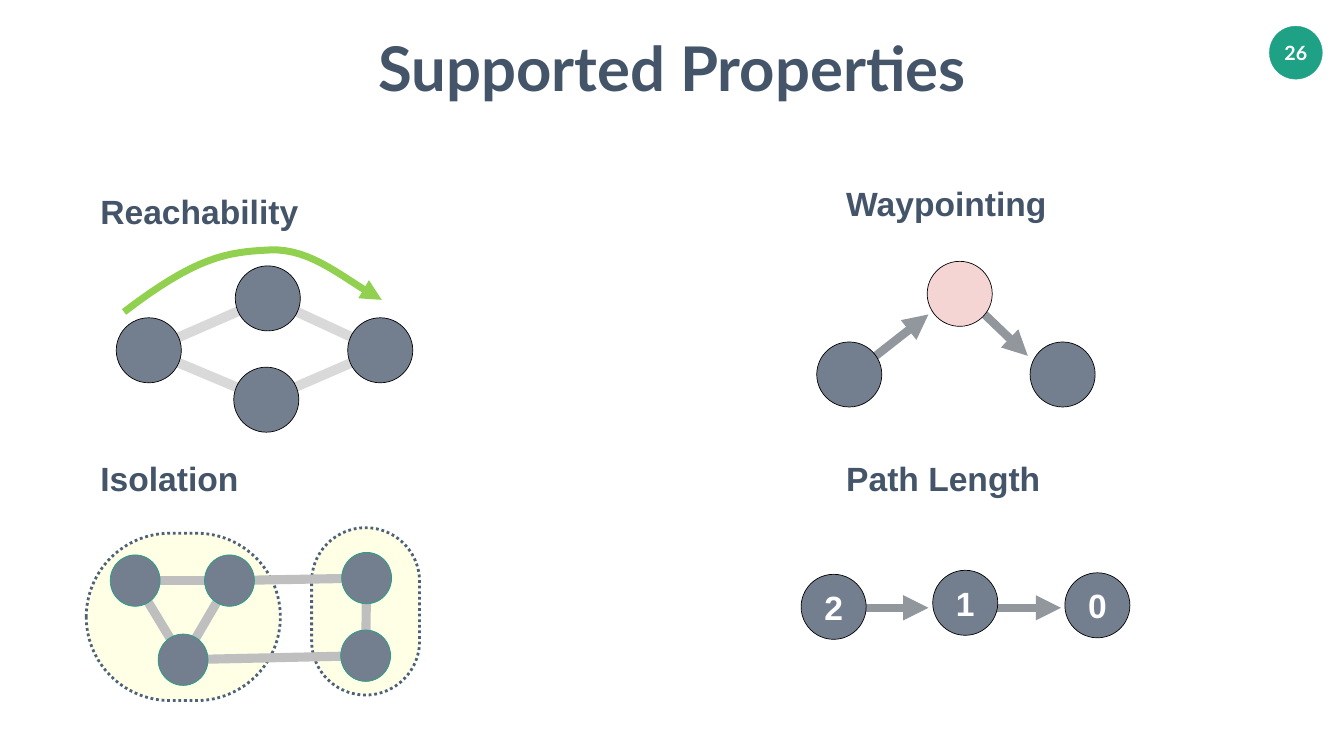
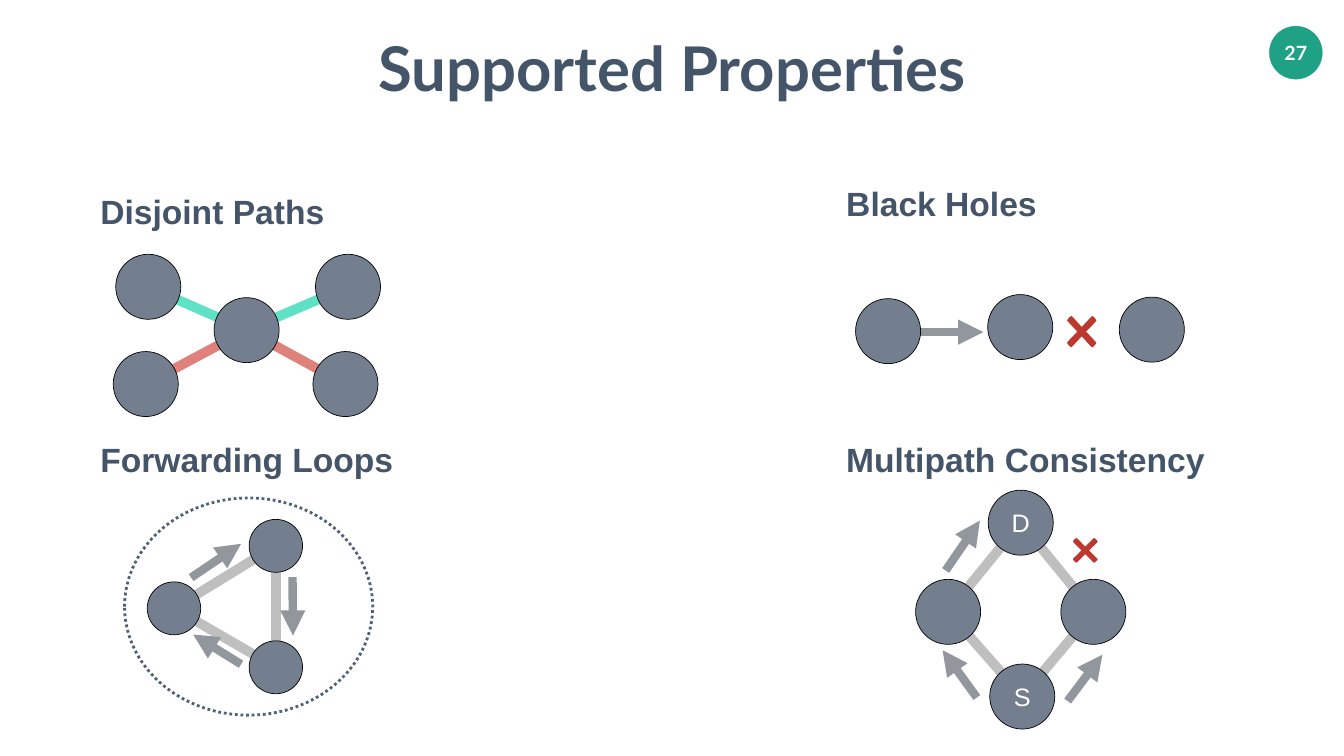
from lxml import etree
from pptx import Presentation
from pptx.dml.color import RGBColor
from pptx.enum.dml import MSO_LINE
from pptx.enum.shapes import MSO_CONNECTOR, MSO_SHAPE
from pptx.enum.text import MSO_ANCHOR, MSO_AUTO_SIZE, PP_ALIGN
from pptx.oxml.ns import qn
from pptx.util import Inches, Pt

OVAL, ROUND = MSO_SHAPE.OVAL, MSO_SHAPE.ROUNDED_RECTANGLE
LINE, DOTS = MSO_CONNECTOR.STRAIGHT, MSO_LINE.ROUND_DOT
LEFT, MID = PP_ALIGN.LEFT, PP_ALIGN.CENTER

WIDE, HIGH = 26.65, 15
TITLE = "Supported Properties"
INK, GREEN, WHITE, BLACK = "445469", "1EA185", "FFFFFF", "000000"
SLATE, PINK, CREAM, EDGE = "737F8E", "F4D5D3", "FEFFE5", "4E617A"
PALE, GREY, STEEL = "D9D9D9", "BFBFBF", "92979D"
LIME, MINT, CORAL, RED = "92D050", "5EE1C5", "DE827B", "BD392F"
COLS = (1.94, 16.73)
DISC = (1.29, 1.29)
ARM = [(0.15, 0), (0.47, 0.32), (0.5, 0.36), (0.47, 0.41),
       (0.41, 0.47), (0.36, 0.5), (0.31, 0.47)]

REACH = {
    "head": ("Reachability", 0, 3.74, 4.07),
    "nodes": [(2.95, 6.95), (5.28, 7.93), (5.31, 5.92), (7.54, 6.95)],
    "links": [(2, 0), (3, 2), (1, 0), (3, 1)],
    "tone": PALE,
    "curve": [(2.46, 6.19), (3.9, 5.09), (4.5, 5), (5.35, 4.96),
              (6.2, 4.92), (6.85, 5.57), (7.57, 5.95)],
}
ISLES = {
    "head": ("Isolation", 0, 9.04, 2.87),
    "zones": [(ROUND, 1.71, 10.58, 3.85, 3.32, CREAM),
              (ROUND, 6.18, 10.47, 2.14, 3.32, CREAM)],
    "nodes": [(2.68, 11.52), (4.55, 11.52), (3.63, 13.09),
              (7.27, 11.47), (7.25, 13.01)],
    "size": (0.99, 1.02),
    "rim": GREEN,
    "links": [(2, 0), (2, 1), (1, 0), (4, 3), (3, 1), (4, 2)],
    "thick": 13,
}
WAY = {
    "head": ("Waypointing", 1, 3.57, 4.15),
    "nodes": [(16.84, 7.43), (19.03, 5.83), (21.07, 7.43)],
    "fills": {1: PINK},
    "arrows": [(17.01, 7.34, 18.41, 6.24), (19.14, 5.87, 20.38, 7.06)],
}
HOPS = {
    "head": ("Path Length", 1, 9.04, 4),
    "nodes": [(16.53, 12.04), (19.14, 11.96), (21.76, 12.01)],
    "marks": {0: "2", 1: "1", 2: "0"},
    "font": (48, True),
    "arrows": [(16.62, 12.06, 18.41, 12.06), (19.25, 12.06, 21.04, 12.06)],
}
SPLIT = {
    "head": ("Disjoint Paths", 0, 3.74, 4.6),
    "nodes": [(4.89, 6.55), (2.89, 7.62), (2.94, 5.69),
              (6.85, 7.62), (6.9, 5.69)],
    "links": [(3, 0, CORAL), (0, 4, MINT), (1, 0, CORAL), (0, 2, MINT)],
}
LOOPS = {
    "head": ("Forwarding Loops", 0, 8.65, 5.98),
    "zones": [(OVAL, 2.47, 9.88, 4.92, 4.31, None)],
    "nodes": [(5.47, 13.24), (3.45, 12.07), (5.47, 10.83)],
    "size": (1.06, 1.05),
    "links": [(1, 2), (0, 1), (0, 2)],
    "arrows": [(3.79, 11.46, 4.78, 10.79), (5.8, 11.45, 5.81, 12.61),
               (4.78, 13.18, 3.83, 12.59)],
}
HOLES = {
    "head": ("Black Holes", 1, 3.57, 3.92),
    "nodes": [(17.61, 6.57), (20.23, 6.49), (22.84, 6.54)],
    "arrows": [(17.71, 6.59, 19.5, 6.59)],
    "cross": (21.45, 6.58, 0.58, 0.62),
}
MULTI = {
    "head": ("Multipath Consistency", 1, 8.65, 7.29),
    "nodes": [(21.68, 12.14), (20.27, 13.82), (20.24, 10.37), (18.8, 12.14)],
    "marks": {1: "S", 2: "D"},
    "font": (36, False),
    "links": [(1, 3), (1, 0), (3, 2), (0, 2)],
    "arrows": [(21.17, 13.91, 21.86, 12.99), (19.37, 13.84, 18.69, 12.9),
               (18.75, 11.32, 19.43, 10.33)],
    "cross": (21.52, 10.92, 0.49, 0.49),
}
PAGES = [(26, [HOPS, WAY, REACH, ISLES]), (27, [MULTI, LOOPS, SPLIT, HOLES])]


def rgb(code):
    return RGBColor.from_string(code)


def emu(*nums):
    return [Inches(n) for n in nums]


def write(shape, text, size, color, face="Arial", bold=True, align=MID):
    frame = shape.text_frame
    frame.text = text
    frame.word_wrap = False
    frame.auto_size = MSO_AUTO_SIZE.NONE
    frame.vertical_anchor = MSO_ANCHOR.MIDDLE
    frame.margin_left = frame.margin_right = Inches(0.05)
    frame.margin_top = frame.margin_bottom = Inches(0.05)
    par = frame.paragraphs[0]
    par.alignment = align
    par.font.name, par.font.size, par.font.bold = face, Pt(size), bold
    par.font.color.rgb = rgb(color)


def paint(shape, fill, rim=None, width=1):
    shape.shadow.inherit = False
    if fill:
        shape.fill.solid()
        shape.fill.fore_color.rgb = rgb(fill)
    else:
        shape.fill.background()
    if rim:
        stroke(shape, rim, width)
    else:
        shape.line.fill.background()


def stroke(shape, color, width):
    shape.line.color.rgb = rgb(color)
    shape.line.width = Pt(width)


def point(shape):
    line = shape.element.spPr.find(qn("a:ln"))
    etree.SubElement(line, qn("a:tailEnd"), type="triangle")


def join(pen, ends, color, width, arrow=False):
    line = pen.add_connector(LINE, *emu(*ends))
    stroke(line, color, width)
    if arrow:
        point(line)
    etree.SubElement(line.element.spPr, qn("a:effectLst"))


def trace(pen, dots, close):
    dots = [emu(*dot) for dot in dots]
    path = pen.build_freeform(*dots[0])
    path.add_line_segments(dots[1:], close=close)
    return path.convert_to_shape()


def bend(knots, steps=16):
    dots = [knots[0]]
    for k in range(0, len(knots) - 1, 3):
        for n in range(1, steps + 1):
            t = n / steps
            u = 1 - t
            rates = (u ** 3, 3 * u * u * t, 3 * u * t * t, t ** 3)
            dots.append([sum(r * p[axis] for r, p in zip(rates, knots[k:k + 4]))
                         for axis in (0, 1)])
    return dots


def cross(pen, x, y, wide, high):
    dots, arm = [], ARM
    for turn in range(4):
        dots += [(x + a * wide, y + b * high) for a, b in arm]
        arm = [(-b, a) for a, b in arm]
    paint(trace(pen, dots, True), RED)


def draw(pen, fig):
    nodes = fig["nodes"]
    wide, high = fig.get("size", DISC)
    for kind, x, y, w, h, fill in fig.get("zones", []):
        zone = pen.add_shape(kind, *emu(x, y, w, h))
        if kind == ROUND:
            zone.adjustments[0] = 0.5
        paint(zone, fill, EDGE, 4)
        zone.line.dash_style = DOTS
    for a, b, *tone in fig.get("links", []):
        color = tone[0] if tone else fig.get("tone", GREY)
        join(pen, nodes[a] + nodes[b], color, fig.get("thick", 14))
    for ends in fig.get("arrows", []):
        join(pen, ends, STEEL, 12, True)
    for k, (x, y) in enumerate(nodes):
        disc = pen.add_shape(OVAL, *emu(x - wide / 2, y - high / 2, wide, high))
        paint(disc, fig.get("fills", {}).get(k, SLATE), fig.get("rim", BLACK))
        if k in fig.get("marks", {}):
            size, bold = fig["font"]
            write(disc, fig["marks"][k], size, WHITE, bold=bold)
    if "curve" in fig:
        curve = trace(pen, bend(fig["curve"]), False)
        paint(curve, None, LIME, 10)
        point(curve)
    if "cross" in fig:
        cross(pen, *fig["cross"])


def build(deck, number, figs):
    slide = deck.slides.add_slide(deck.slide_layouts[5])
    title = slide.shapes.title
    title.left, title.top, title.width, title.height = emu(
        (WIDE - 11.89) / 2, 0.53, 11.89, 1.58)
    write(title, TITLE, 88, INK, "Lato")
    badge = slide.shapes.add_shape(OVAL, *emu(25.17, 0.52, 1.05, 1.05))
    paint(badge, GREEN, GREEN, 0.5)
    write(badge, str(number), 28, WHITE, "Lato")
    for fig in figs:
        text, col, top, wide = fig["head"]
        head = slide.shapes.add_textbox(*emu(COLS[col], top, wide, 0.91))
        write(head, text, 48, INK, align=LEFT)
        draw(slide.shapes.add_group_shape().shapes, fig)


def main():
    deck = Presentation()
    deck.slide_width, deck.slide_height = emu(WIDE, HIGH)
    for number, figs in PAGES:
        build(deck, number, figs)
    deck.save("out.pptx")


if __name__ == "__main__":
    main()
